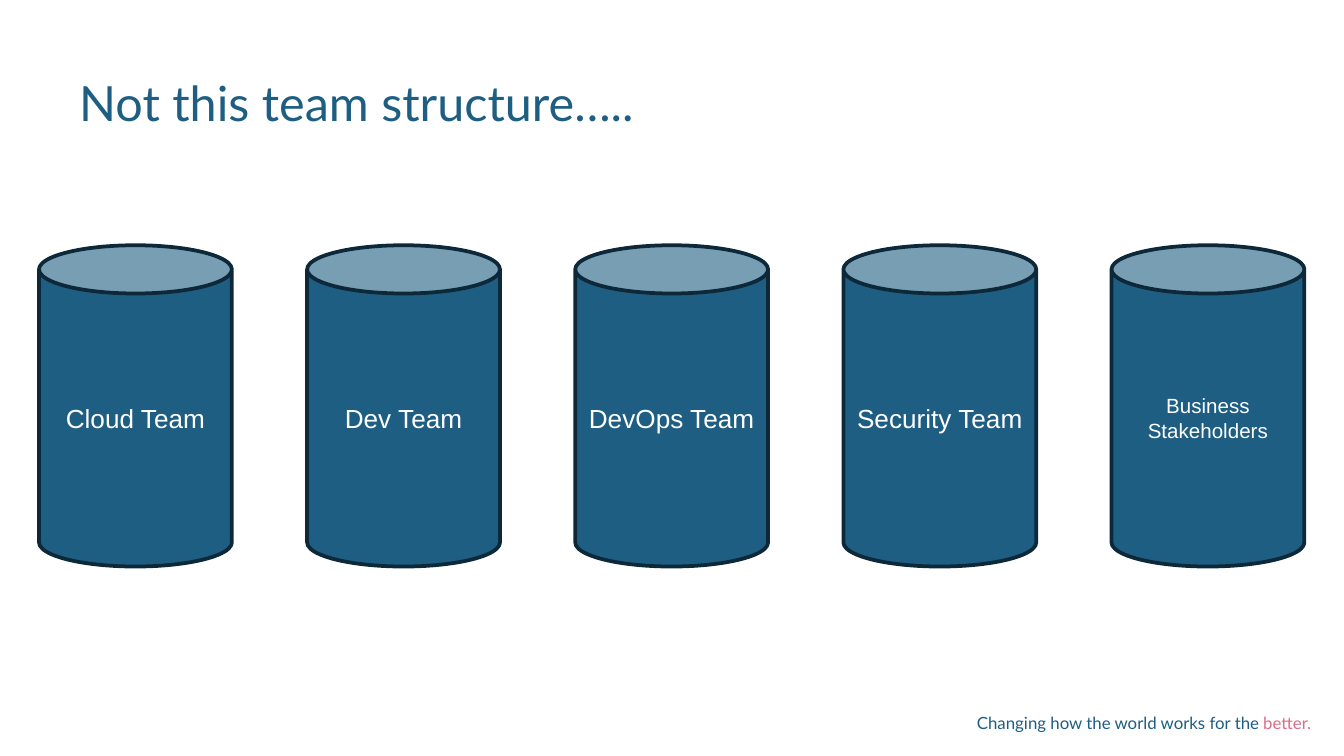
from pptx import Presentation
from pptx.dml.color import RGBColor
from pptx.enum.shapes import MSO_SHAPE as Shape
from pptx.enum.text import MSO_ANCHOR as Anchor, PP_ALIGN as Align
from pptx.util import Emu, Pt

PX = 4572
BLUE, NAVY, PINK, WHITE = "1E5E82", "0D2939", "D86E89", "FFFFFF"


def px(*lengths):
    return [Emu(length * PX) for length in lengths]


def color(value):
    return RGBColor.from_string(value)


class SlideBuilder:
    heading_font = "Lato"
    label_font = "Arial"

    def __init__(self, slide):
        self.slide = slide

    def set_frame(self, frame, inset, anchor):
        frame.word_wrap = True
        frame.vertical_anchor = anchor
        frame.margin_left, frame.margin_top, frame.margin_right, frame.margin_bottom = px(*[inset] * 4)

    def style(self, span, name, size, fill):
        span.font.name = name
        span.font.size = Pt(size)
        span.font.color.rgb = color(fill)

    def text(self, bounds, parts, size, inset=0, align=Align.LEFT, spacing=1.0):
        box = self.slide.shapes.add_textbox(*px(*bounds))
        self.set_frame(box.text_frame, inset, Anchor.TOP)
        para = box.text_frame.paragraphs[0]
        para.alignment = align
        para.line_spacing = spacing
        for words, fill in parts:
            span = para.add_run()
            span.text = words
            self.style(span, self.heading_font, size, fill)

    def silo(self, bounds, label, size):
        can = self.slide.shapes.add_shape(Shape.CAN, *px(*bounds))
        can.shadow.inherit = False
        can.fill.solid()
        can.fill.fore_color.rgb = color(BLUE)
        can.line.color.rgb = color(NAVY)
        can.line.width = Pt(2)
        self.set_frame(can.text_frame, 10, Anchor.MIDDLE)
        can.text_frame.text = label
        para = can.text_frame.paragraphs[0]
        para.alignment = Align.CENTER
        self.style(para.runs[0], self.label_font, size, WHITE)


def main():
    deck = Presentation()
    deck.slide_width, deck.slide_height = px(2000, 1125)
    page = SlideBuilder(deck.slides.add_slide(deck.slide_layouts[6]))

    page.text((1421, 1060, 530, 34),
              [("Changing how the world works for the ", BLUE), ("better.", PINK)],
              9, align=Align.RIGHT)
    page.text((98, 98, 1804, 98), [("Not this team structure…..", BLUE)],
              26, inset=20, spacing=0.9)

    teams = [("Cloud Team", 14), ("Dev Team", 14), ("DevOps Team", 14),
             ("Security Team", 14), ("Business Stakeholders", 11)]
    for index, (label, size) in enumerate(teams):
        page.silo((58 + index * 399, 365, 287, 478), label, size)

    deck.save("out.pptx")


if __name__ == "__main__":
    main()
